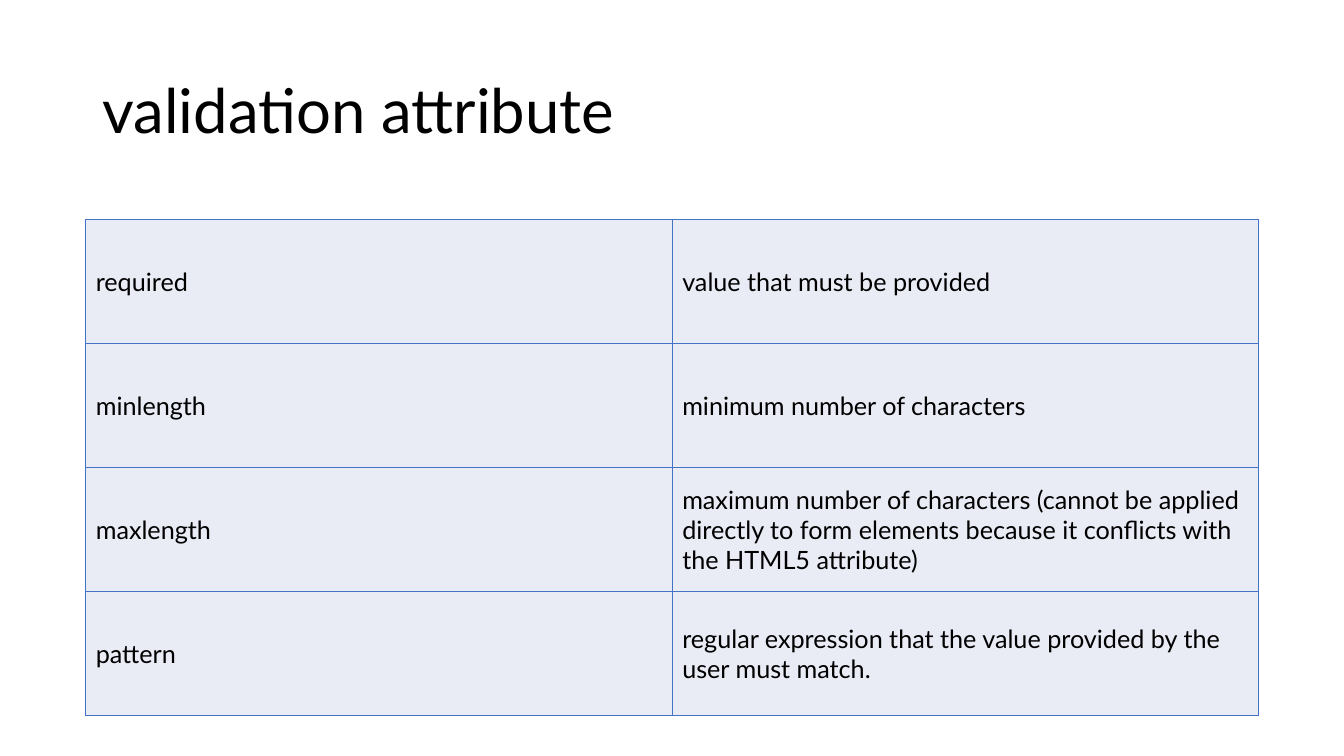
from lxml.etree import SubElement
from pptx import Presentation
from pptx.dml.color import RGBColor
from pptx.enum.text import MSO_ANCHOR, PP_ALIGN
from pptx.oxml.ns import qn
from pptx.util import Cm, Pt

BLACK = RGBColor(0x00, 0x00, 0x00)
BLUE = RGBColor(0x44, 0x72, 0xC4)
PALE = RGBColor(0xE9, 0xEB, 0xF5)

ROWS = [
    ("required", "value that must be provided"),
    ("minlength", "minimum number of characters"),
    ("maxlength", "maximum number of characters (cannot be applied directly to "
                  "form elements because it conflicts with the HTML5 attribute)"),
    ("pattern", "regular expression that the value provided by the user must match."),
]


class Page:
    font = "Lato"

    def __init__(self, deck):
        self.slide = deck.slides.add_slide(deck.slide_layouts[5])

    def text(self, frame, words, size):
        par = frame.paragraphs[0]
        par.alignment = PP_ALIGN.LEFT
        run = par.add_run()
        run.text = words
        run.font.name = self.font
        run.font.size = Pt(size)
        run.font.color.rgb = BLACK
        return par

    def title(self, words, left, top, width, height):
        shape = self.slide.shapes.title
        shape.left, shape.top = Cm(left), Cm(top)
        shape.width, shape.height = Cm(width), Cm(height)
        frame = shape.text_frame
        frame.word_wrap = True
        frame.vertical_anchor = MSO_ANCHOR.MIDDLE
        self.text(frame, words, 44).line_spacing = 0.9

    def border(self, cell):
        props = cell._tc.get_or_add_tcPr()
        for spot, side in enumerate(("a:lnL", "a:lnR", "a:lnT", "a:lnB")):
            line = SubElement(props, qn(side), w=str(Pt(1)))
            fill = SubElement(line, qn("a:solidFill"))
            SubElement(fill, qn("a:srgbClr"), val=str(BLUE))
            props.insert(spot, line)

    def table(self, rows, left, top, width, height):
        frame = self.slide.shapes.add_table(
            len(rows), len(rows[0]), Cm(left), Cm(top), Cm(width), Cm(height))
        grid = frame.table
        grid.first_row = False
        grid.horz_banding = False
        for r, row in enumerate(rows):
            for c, words in enumerate(row):
                cell = grid.cell(r, c)
                cell.fill.solid()
                cell.fill.fore_color.rgb = PALE
                cell.vertical_anchor = MSO_ANCHOR.MIDDLE
                self.border(cell)
                self.text(cell.text_frame, words, 18)


def main():
    deck = Presentation()
    deck.slide_width, deck.slide_height = Cm(33.87), Cm(19.05)
    page = Page(deck)
    page.title("validation attribute", 2.33, 1.01, 29.21, 3.68)
    page.table(ROWS, 2.16, 5.53, 29.56, 12.5)
    deck.save("out.pptx")


if __name__ == "__main__":
    main()
